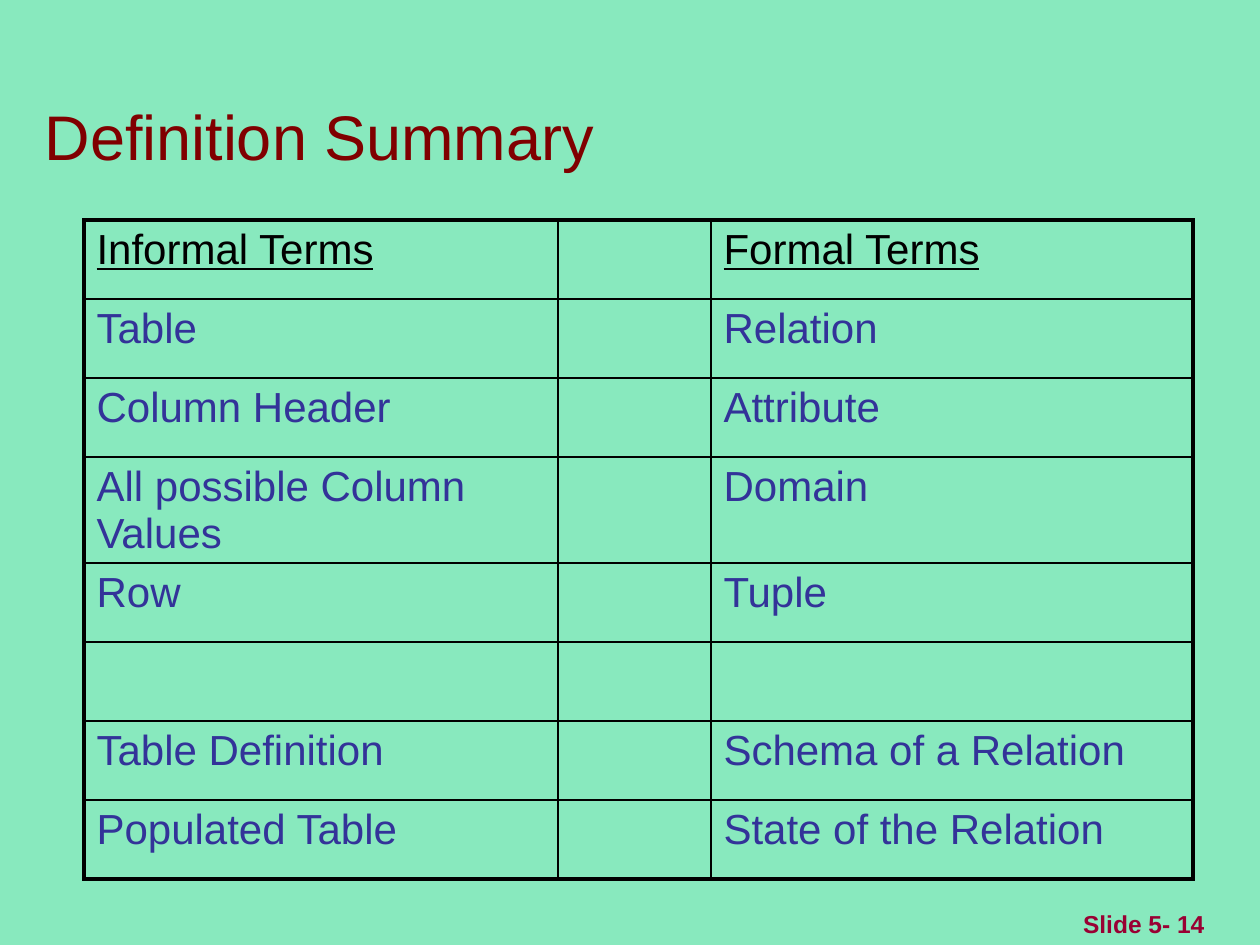
import dataclasses

import pptx
import pptx.dml.color
import pptx.enum.text
import pptx.oxml
import pptx.oxml.ns
import pptx.util

RGB = pptx.dml.color.RGBColor
ALIGN = pptx.enum.text.PP_ALIGN
ANCHOR = pptx.enum.text.MSO_ANCHOR

MINT = RGB(0x88, 0xE9, 0xBE)
BLACK = RGB(0, 0, 0)
INDIGO = RGB(0x33, 0x33, 0x99)
MAROON = RGB(0x80, 0, 0)
WINE = RGB(0x99, 0, 0x33)

SCALE = 914400 / 126
THICK, THIN = 2.25, 1


@dataclasses.dataclass(frozen=True)
class Box:
    left: int
    top: int
    width: int
    height: int


@dataclasses.dataclass(frozen=True)
class Term:
    casual: str
    formal: str
    height: int = 79


TERMS = [
    Term("Informal Terms", "Formal Terms"),
    Term("Table", "Relation"),
    Term("Column Header", "Attribute"),
    Term("All possible Column Values", "Domain", 106),
    Term("Row", "Tuple"),
    Term("", ""),
    Term("Table Definition", "Schema of a Relation"),
    Term("Populated Table", "State of the Relation"),
]
WIDTHS = [474, 153, 482]


def px(size: int) -> pptx.util.Emu:
    return pptx.util.Emu(round(size * SCALE))


def place(shape, box: Box) -> None:
    shape.left, shape.top = px(box.left), px(box.top)
    shape.width, shape.height = px(box.width), px(box.height)


def write(frame, text: str, *, size: int, color: RGB, bold: bool = False,
          under: bool = False, align=ALIGN.LEFT, anchor=ANCHOR.TOP) -> None:
    frame.word_wrap = True
    frame.vertical_anchor = anchor
    para = frame.paragraphs[0]
    para.alignment = align
    run = para.add_run()
    run.text = text
    font = run.font
    font.name, font.size = "Arial", pptx.util.Pt(size)
    font.bold, font.underline = bold, under
    font.color.rgb = color


def edge(cell, sides: dict[str, float]) -> None:
    props = cell._tc.get_or_add_tcPr()
    for place_no, (side, width) in enumerate(sides.items()):
        line = pptx.oxml.parse_xml(
            f'<a:ln{side} {pptx.oxml.ns.nsdecls("a")} w="{pptx.util.Pt(width)}">'
            f'<a:solidFill><a:srgbClr val="{BLACK}"/></a:solidFill></a:ln{side}>'
        )
        props.insert(place_no, line)


def draw_terms(slide, left: int, top: int) -> None:
    rows, cols = len(TERMS), len(WIDTHS)
    high = sum(term.height for term in TERMS)
    table = slide.shapes.add_table(
        rows, cols, px(left), px(top), px(sum(WIDTHS)), px(high)
    ).table
    table.first_row = table.horz_banding = False
    for col, width in zip(table.columns, WIDTHS):
        col.width = px(width)
    for r, term in enumerate(TERMS):
        table.rows[r].height = px(term.height)
        for c, text in enumerate((term.casual, "", term.formal)):
            cell = table.cell(r, c)
            cell.fill.background()
            edge(cell, {
                "L": THICK if c == 0 else THIN,
                "R": THICK if c == cols - 1 else THIN,
                "T": THICK if r == 0 else THIN,
                "B": THICK if r == rows - 1 else THIN,
            })
            if text:
                write(cell.text_frame, text, size=24, under=r == 0,
                      color=BLACK if r == 0 else INDIGO)


def main() -> None:
    deck = pptx.Presentation()
    deck.slide_width, deck.slide_height = px(1260), px(945)
    slide = deck.slides.add_slide(deck.slide_layouts[5])
    slide.background.fill.solid()
    slide.background.fill.fore_color.rgb = MINT

    title = slide.shapes.title
    place(title, Box(32, 42, 1075, 137))
    write(title.text_frame, "Definition Summary", size=36, color=MAROON,
          anchor=ANCHOR.BOTTOM)

    draw_terms(slide, 84, 220)

    foot = slide.shapes.add_textbox(0, 0, 0, 0)
    place(foot, Box(955, 882, 262, 63))
    write(foot.text_frame, "Slide 5- 14", size=14, color=WINE, bold=True,
          align=ALIGN.RIGHT, anchor=ANCHOR.BOTTOM)

    deck.save("out.pptx")


if __name__ == "__main__":
    main()
